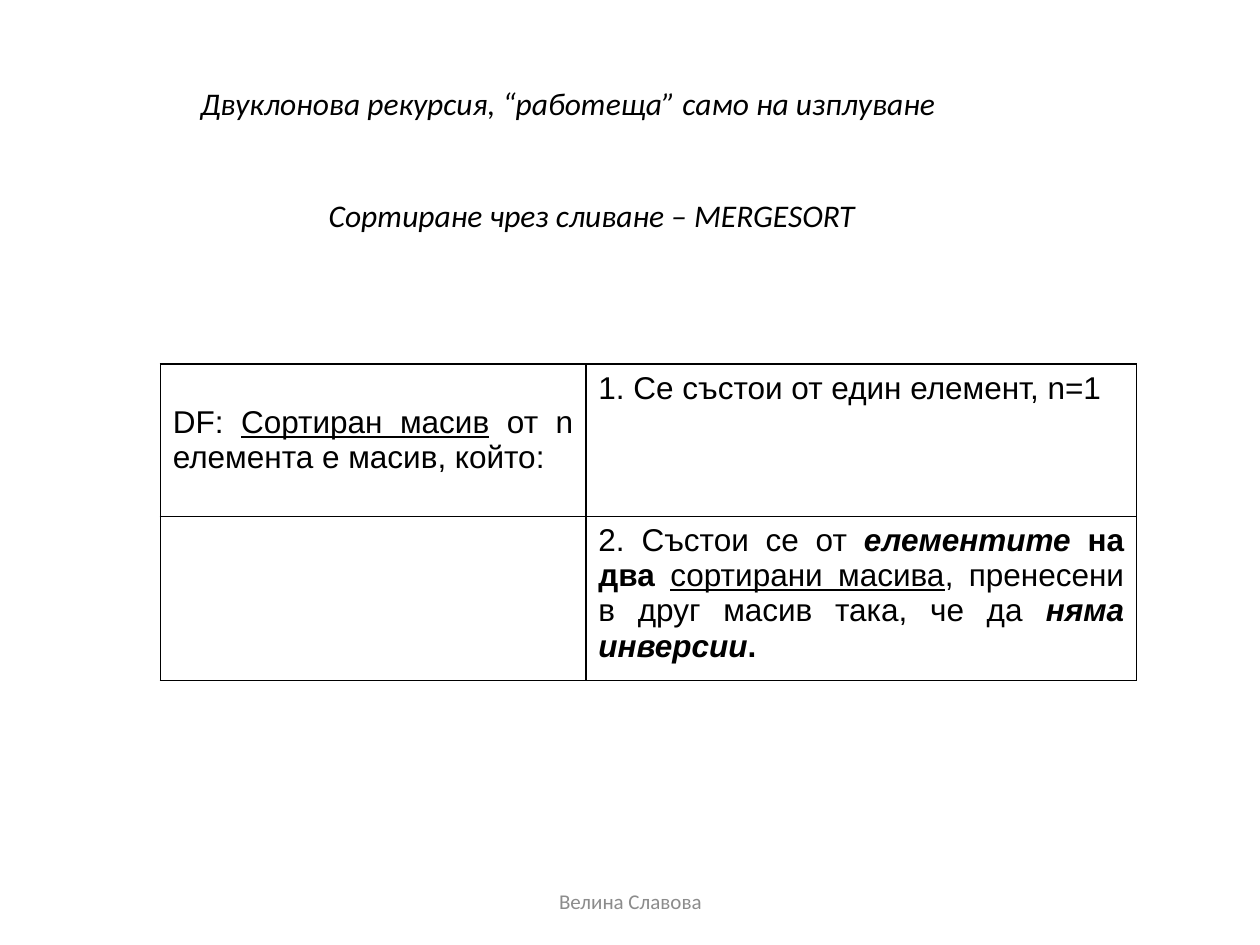
from typing import NamedTuple

from lxml.etree import SubElement
from pptx import Presentation
from pptx.dml.color import RGBColor
from pptx.enum.text import MSO_ANCHOR as Anchor, MSO_AUTO_SIZE as AutoSize, PP_ALIGN as Align
from pptx.oxml.ns import qn
from pptx.util import Pt

BLACK = RGBColor(0x00, 0x00, 0x00)
GREY = RGBColor(0x8C, 0x8C, 0x8C)


class Run(NamedTuple):
    """A stretch of text with its emphasis."""
    text: str
    bold: bool = False
    italic: bool = False
    underline: bool = False


class Box(NamedTuple):
    """A place on the slide, in points."""
    left: float
    top: float
    width: float
    height: float


class Definition(NamedTuple):
    """The content of one table cell."""
    row: int
    column: int
    anchor: Anchor
    runs: list[Run]


HEADING_BOX = Box(107.3, 44.6, 549.4, 28.8)
SUBHEADING_BOX = Box(180.7, 108.7, 414.7, 28.8)
FOOTER_BOX = Box(246.2, 500.4, 228.2, 28.8)
TABLE_BOX = Box(91.6, 208.1, 558, 180.7)
COLUMN_WIDTHS = (243.2, 314.8)
ROW_HEIGHTS = (87.1, 93.6)

DEFINITIONS = [
    Definition(0, 0, Anchor.MIDDLE, [
        Run("DF: "),
        Run("Сортиран масив", underline=True),
        Run(" от n елемента е масив, който:"),
    ]),
    Definition(0, 1, Anchor.TOP, [Run("1. Се състои от един елемент, n=1")]),
    Definition(1, 1, Anchor.TOP, [
        Run("2. Състои се от "),
        Run("елементите", bold=True, italic=True),
        Run(" на два ", bold=True),
        Run("сортирани масива", underline=True),
        Run(", пренесени в друг масив така, че да "),
        Run("няма инверсии", bold=True, italic=True),
        Run(".", bold=True),
    ]),
]


def write(frame, runs: list[Run], *, font: str = "Calibri", size: float = 18,
          color: RGBColor = BLACK, align: Align = Align.LEFT) -> None:
    """Write runs into the first paragraph of a text frame."""
    paragraph = frame.paragraphs[0]
    paragraph.alignment = align
    for part in runs:
        run = paragraph.add_run()
        run.text = part.text
        run.font.name, run.font.size = font, Pt(size)
        run.font.color.rgb = color
        run.font.bold, run.font.italic = part.bold, part.italic
        run.font.underline = part.underline


def place(shape, box: Box) -> None:
    """Move a text shape to its box and centre its text vertically."""
    shape.left, shape.top, shape.width, shape.height = map(Pt, box)
    frame = shape.text_frame
    frame.word_wrap = True
    frame.auto_size = AutoSize.NONE
    frame.vertical_anchor = Anchor.MIDDLE


def add_label(slide, box: Box, run: Run, **style) -> None:
    """Add a text box with one run."""
    label = slide.shapes.add_textbox(*map(Pt, box))
    place(label, box)
    write(label.text_frame, [run], **style)


def outline(cell) -> None:
    """Clear a cell's fill and draw a thin black border around it."""
    properties = cell._tc.get_or_add_tcPr()
    for side in ("a:lnL", "a:lnR", "a:lnT", "a:lnB"):
        line = SubElement(properties, qn(side), w=str(Pt(1)))
        fill = SubElement(line, qn("a:solidFill"))
        SubElement(fill, qn("a:srgbClr"), val=str(BLACK))
    cell.fill.background()


def add_definition_table(slide) -> None:
    """Add the table that defines a sorted array."""
    table = slide.shapes.add_table(len(ROW_HEIGHTS), len(COLUMN_WIDTHS),
                                   *map(Pt, TABLE_BOX)).table
    table.first_row = table.horz_banding = False
    for column, width in zip(table.columns, COLUMN_WIDTHS):
        column.width = Pt(width)
    for row, height in zip(table.rows, ROW_HEIGHTS):
        row.height = Pt(height)
    for cell in table.iter_cells():
        outline(cell)
    for definition in DEFINITIONS:
        cell = table.cell(definition.row, definition.column)
        cell.vertical_anchor = definition.anchor
        write(cell.text_frame, definition.runs, font="Arial", align=Align.JUSTIFY)


def main() -> None:
    """Build and save the slide."""
    deck = Presentation()
    deck.slide_width, deck.slide_height = Pt(720), Pt(540)
    slide = deck.slides.add_slide(deck.slide_layouts.get_by_name("Title Only"))
    heading = slide.shapes.title
    place(heading, HEADING_BOX)
    write(heading.text_frame,
          [Run("Двуклонова рекурсия, “работеща” само на изплуване", italic=True)])
    add_label(slide, SUBHEADING_BOX, Run("Сортиране чрез сливане – MERGESORT", italic=True))
    add_definition_table(slide)
    add_label(slide, FOOTER_BOX, Run("Велина Славова"), size=12, color=GREY, align=Align.CENTER)
    deck.save("out.pptx")


main()
